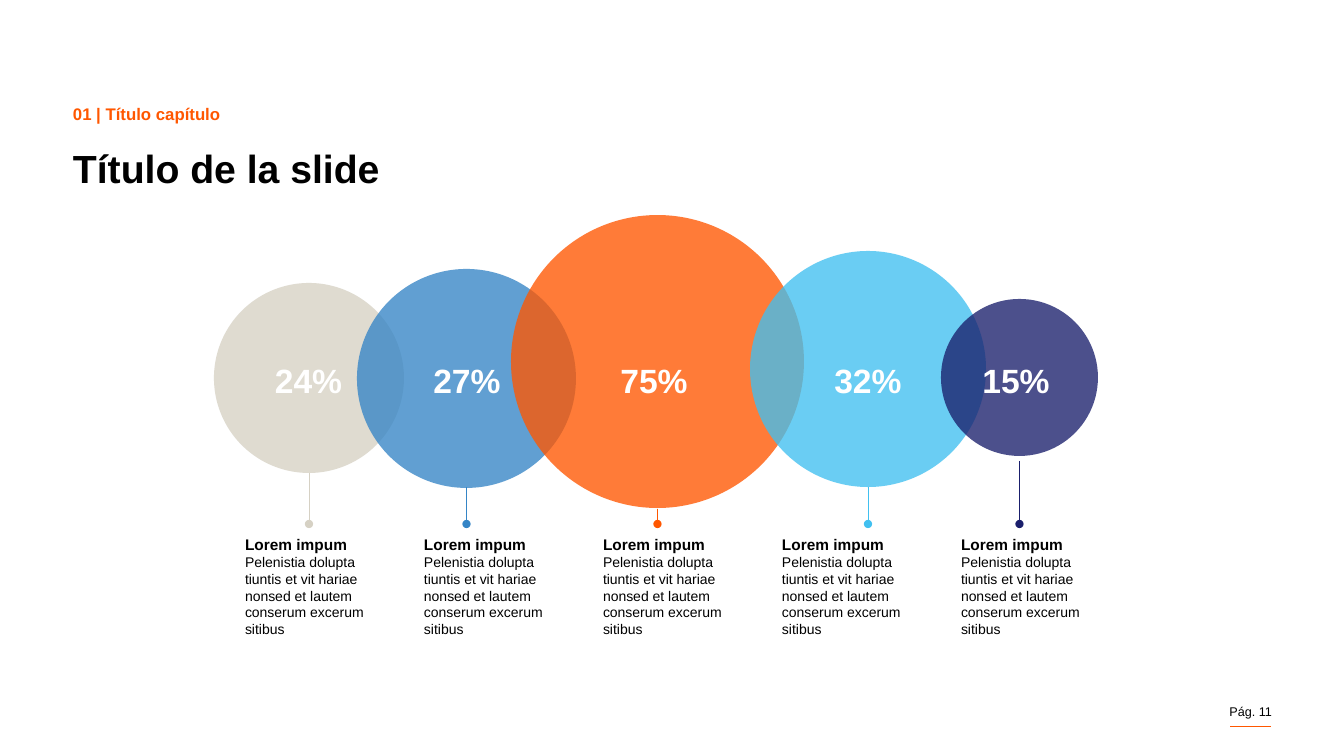
from lxml import etree
from pptx import Presentation
from pptx import util as u
from pptx.dml.color import RGBColor
from pptx.enum import shapes, text
from pptx.oxml.ns import qn

PX = 914400 / 100.8  # EMU in one px
ORANGE, BLACK, WHITE = "FF5700", "000000", "FFFFFF"


def px(*lengths):
    return [u.Emu(round(length * PX)) for length in lengths]


def write(box, *lines, color=BLACK, align=text.PP_ALIGN.LEFT, spacing=None):
    """Fill a box with lines, each given as (wording, size, bold)."""
    frame = box.text_frame
    frame.word_wrap = True
    frame.auto_size = text.MSO_AUTO_SIZE.NONE
    frame.vertical_anchor = text.MSO_ANCHOR.TOP
    frame.margin_left = frame.margin_right = frame.margin_top = frame.margin_bottom = 0
    for i, (wording, size, bold) in enumerate(lines):
        paragraph = frame.add_paragraph() if i else frame.paragraphs[0]
        paragraph.alignment = align
        paragraph.line_spacing = spacing
        run = paragraph.add_run()
        run.text = wording
        run.font.name, run.font.size, run.font.bold = "Arial", u.Pt(size), bold
        run.font.color.rgb = RGBColor.from_string(color)


deck = Presentation()
deck.slide_width, deck.slide_height = px(1344, 756)
slide = deck.slides.add_slide(deck.slide_layouts[5])
canvas = slide.shapes

# Title and chapter
title = canvas.title
title.left, title.top, title.width, title.height = px(73, 150, 1198, 42)
write(title, ("Título de la slide", 28, True), spacing=0.9)
write(canvas.add_textbox(*px(73, 104, 194, 22)), ("01 | Título capítulo", 12, True), color=ORANGE)

# Page number
write(canvas.add_textbox(*px(1194, 704, 78, 15)), ("Pág. 11", 9, False), align=text.PP_ALIGN.RIGHT)

# Circles: share, colour, left, top, diameter, label left, label width
circles = [
    ("24%", "D6D1C4", 214, 283, 190, 213, 191),
    ("27%", "3585C6", 357, 269, 219, 355, 224),
    ("75%", ORANGE, 511, 215, 293, 505, 298),
    ("32%", "41C0F0", 750, 251, 236, 751, 234),
    ("15%", "1A1F6C", 941, 299, 157, 941, 150),
]
for share, color, left, top, diameter, label_left, label_width in circles:
    circle = canvas.add_shape(shapes.MSO_SHAPE.OVAL, *px(left, top, diameter, diameter))
    circle.shadow.inherit = False
    circle.line.fill.background()
    circle.fill.solid()
    circle.fill.fore_color.rgb = RGBColor.from_string(color)
    shade = circle.fill._xPr.find(qn("a:solidFill"))[0]
    etree.SubElement(shade, qn("a:alpha")).set("val", "78000")

# Captions, evenly spaced, and share labels above all circles
body = "Pelenistia dolupta tiuntis et vit hariae nonsed et lautem conserum excerum sitibus"
for i, (share, color, left, top, diameter, label_left, label_width) in enumerate(circles):
    caption = canvas.add_textbox(*px(245 + 179 * i, 535, 143, 134))
    write(caption, ("Lorem impum", 11, True), (body, 10, False))
    label = canvas.add_textbox(*px(label_left, 360, label_width, 48))
    write(label, (share, 24, True), color=WHITE, align=text.PP_ALIGN.CENTER)

# Leader lines with a dot at the foot, and the rule under the page number
leaders = [
    (color, left + diameter / 2, start, left + diameter / 2, 524, True)
    for (_, color, left, _, diameter, _, _), start in zip(circles, (473, 487, 509, 487, 461))
]
page_rule = (ORANGE, 1271, 726, 1230, 726, False)
for color, x1, y1, x2, y2, dotted in leaders + [page_rule]:
    line = canvas.add_connector(shapes.MSO_CONNECTOR.STRAIGHT, *px(x1, y1, x2, y2))
    line.line.width = u.Pt(0.5)
    line.line.color.rgb = RGBColor.from_string(color)
    if dotted:
        etree.SubElement(line.line._get_or_add_ln(), qn("a:tailEnd")).set("type", "oval")
    etree.SubElement(line._element.spPr, qn("a:effectLst"))

deck.save("out.pptx")
